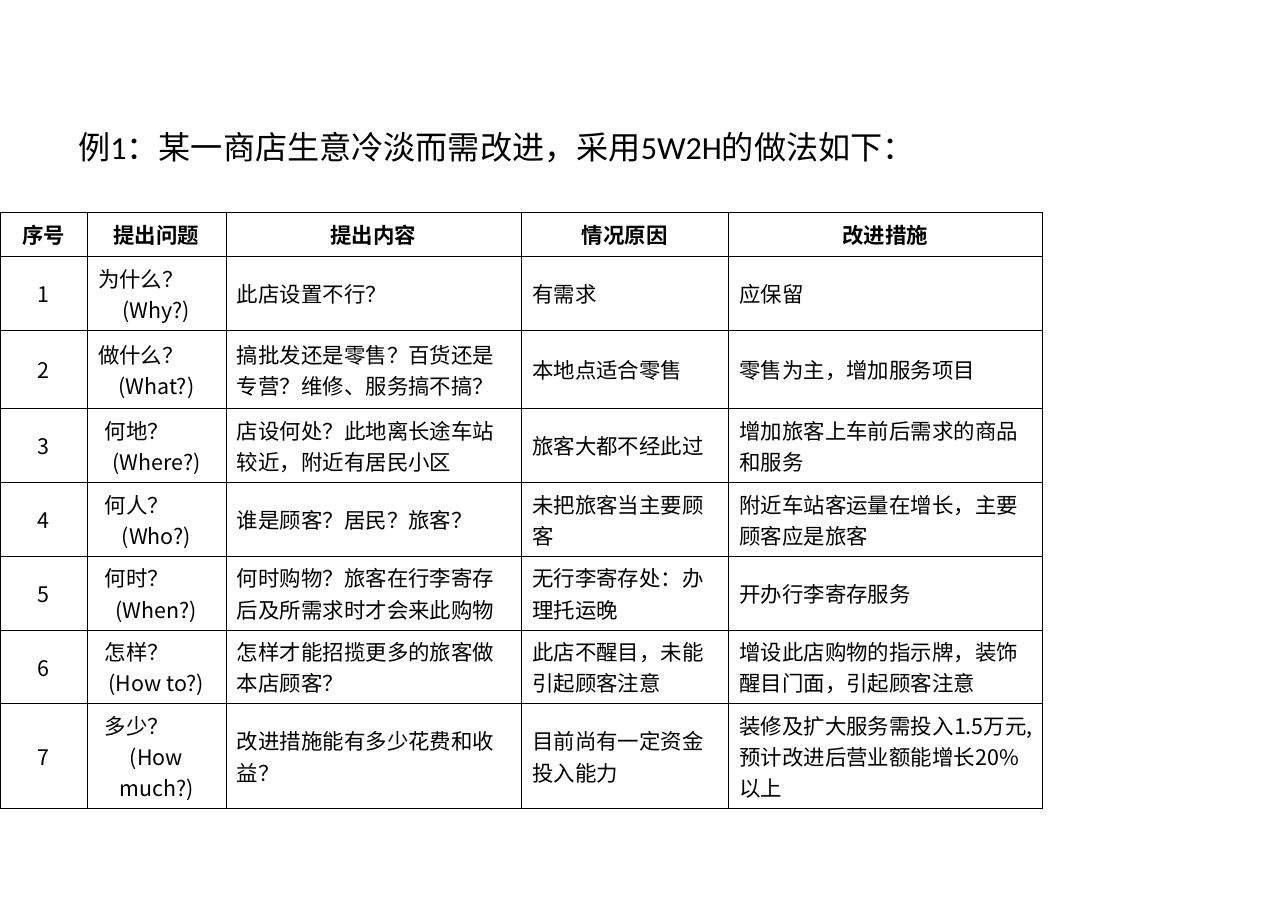
"""Build the 5W2H slide: a title over a table of shop improvements."""
from lxml import etree
from pptx import Presentation
from pptx import util as u
from pptx.dml.color import RGBColor
from pptx.enum import text
from pptx.oxml import ns

HUES = {"ink": "000000"}
INK = RGBColor.from_string(HUES["ink"])
SANS = "Noto Sans CJK SC"
ALIGN = text.PP_ALIGN


def style(para, name, size, bold=False):
    font = para.font
    font.name, font.size, font.bold = name, u.Pt(size), bold
    font.color.rgb = INK


def edge(cell):
    props = cell._tc.get_or_add_tcPr()
    for side in ("lnL", "lnR", "lnT", "lnB"):
        line = etree.SubElement(props, ns.qn("a:" + side), w=str(u.Pt(0.45)))
        fill = etree.SubElement(line, ns.qn("a:solidFill"))
        etree.SubElement(fill, ns.qn("a:srgbClr"), val=HUES["ink"])


deck = Presentation()
deck.slide_width, deck.slide_height = u.Inches(11.69), u.Inches(8.27)
slide = deck.slides.add_slide(deck.slide_layouts[6])

title = slide.shapes.add_textbox(u.Inches(0.6), u.Inches(1.1), u.Inches(10.59), u.Inches(0.42))
frame = title.text_frame
frame.word_wrap = True
frame.margin_left = frame.margin_right = u.Inches(0.11)
frame.margin_top = frame.margin_bottom = u.Inches(0.06)
frame.text = "例1：某一商店生意冷淡而需改进，采用5W2H的做法如下："
style(frame.paragraphs[0], "Calibri", 21)

rows = [
    ("序号", "提出问题", "提出内容", "情况原因", "改进措施"),
    ("1", "为什么？\n(Why?)", "此店设置不行？", "有需求", "应保留"),
    ("2", "做什么？\n(What?)", "搞批发还是零售？百货还是专营？维修、服务搞不搞？",
     "本地点适合零售", "零售为主，增加服务项目"),
    ("3", "何地？\n(Where?)", "店设何处？此地离长途车站较近，附近有居民小区",
     "旅客大都不经此过", "增加旅客上车前后需求的商品和服务"),
    ("4", "何人？\n(Who?)", "谁是顾客？居民？旅客？",
     "未把旅客当主要顾客", "附近车站客运量在增长，主要顾客应是旅客"),
    ("5", "何时？\n(When?)", "何时购物？旅客在行李寄存后及所需求时才会来此购物",
     "无行李寄存处：办理托运晚", "开办行李寄存服务"),
    ("6", "怎样？\n(How to?)", "怎样才能招揽更多的旅客做本店顾客？",
     "此店不醒目，未能引起顾客注意", "增设此店购物的指示牌，装饰醒目门面，引起顾客注意"),
    ("7", "多少？\n(How much?)", "改进措施能有多少花费和收益？",
     "目前尚有一定资金投入能力", "装修及扩大服务需投入1.5万元,预计改进后营业额能增长20%以上"),
]
wide = [0.79, 1.26, 2.68, 1.88, 2.85]
high = [0.4, 0.67, 0.71, 0.67, 0.67, 0.67, 0.67, 0.95]

grid = slide.shapes.add_table(len(rows), len(wide), 0, u.Inches(1.93),
                              u.Inches(sum(wide)), u.Inches(sum(high))).table
grid.first_row = grid.horz_banding = False
for col, width in zip(grid.columns, wide):
    col.width = u.Inches(width)
for row, height in zip(grid.rows, high):
    row.height = u.Inches(height)

for r, row in enumerate(rows):
    for c, words in enumerate(row):
        cell = grid.cell(r, c)
        cell.text = words
        cell.vertical_anchor = text.MSO_ANCHOR.MIDDLE
        cell.margin_left = cell.margin_right = u.Inches(0.1)
        cell.margin_top = cell.margin_bottom = u.Inches(0.05)
        edge(cell)
        cell.fill.background()
        paras = cell.text_frame.paragraphs
        for para in paras:
            para.alignment = ALIGN.CENTER if r == 0 or c < 2 else ALIGN.LEFT
            style(para, SANS, 14, r == 0)
        if len(paras) == 2:
            paras[0].alignment = ALIGN.LEFT
            if r > 2:
                paras[0]._p.get_or_add_pPr().set("marL", str(u.Inches(0.06)))

deck.save("out.pptx")
